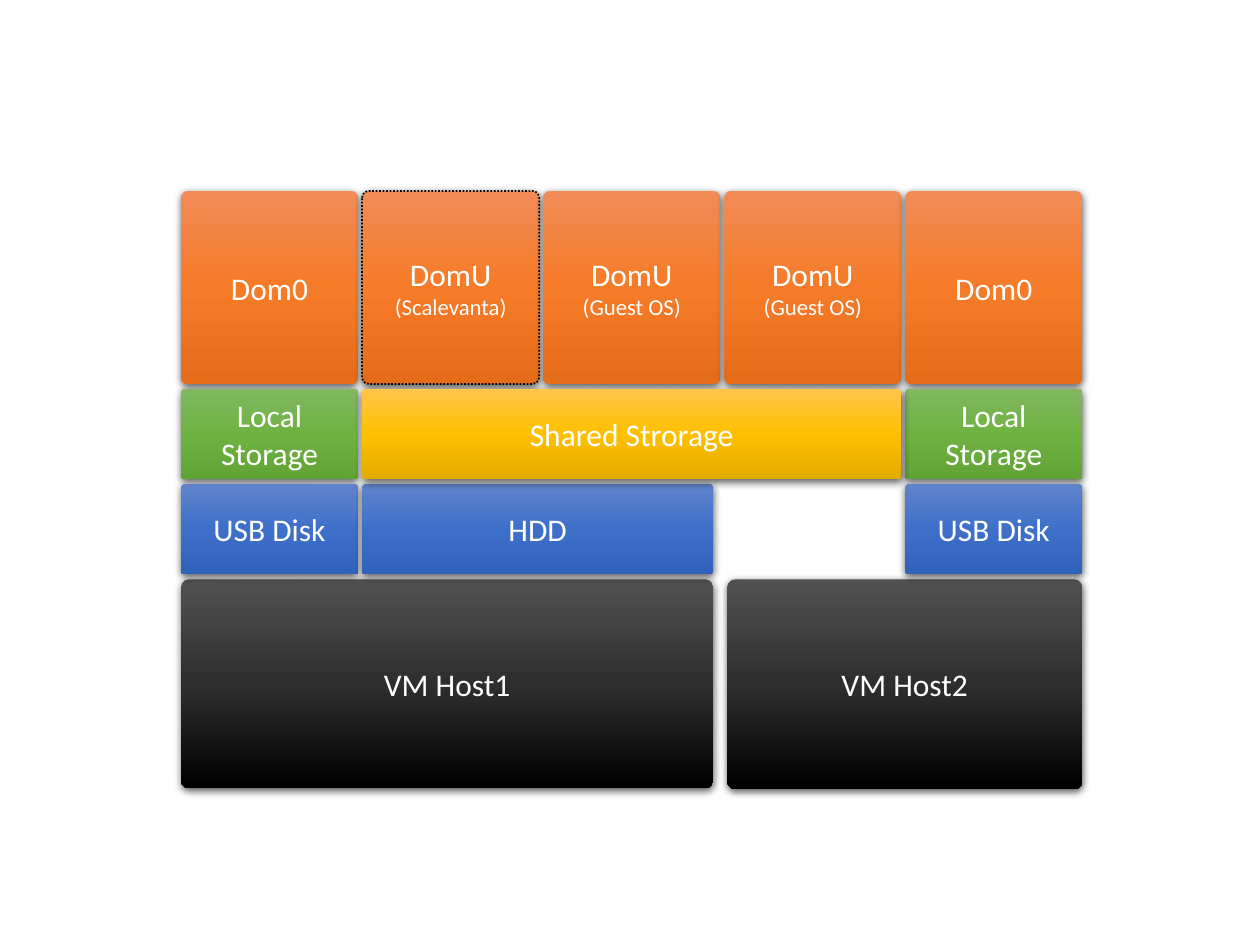
from copy import deepcopy

from lxml.etree import SubElement
from pptx import Presentation
from pptx.dml.color import RGBColor
from pptx.enum.dml import MSO_LINE
from pptx.enum.shapes import MSO_SHAPE
from pptx.enum.text import MSO_ANCHOR, PP_ALIGN
from pptx.oxml.ns import qn
from pptx.util import Cm, Pt

WHITE = RGBColor(0xFF, 0xFF, 0xFF)
BLACK = RGBColor(0x00, 0x00, 0x00)
ORANGE = (RGBColor(0xF1, 0x8C, 0x57), RGBColor(0xF6, 0x7B, 0x28), RGBColor(0xE5, 0x6C, 0x19))
GREEN = (RGBColor(0x81, 0xB8, 0x61), RGBColor(0x6F, 0xB2, 0x42), RGBColor(0x62, 0xA3, 0x36))
BLUE = (RGBColor(0x61, 0x83, 0xCB), RGBColor(0x3E, 0x70, 0xCA), RGBColor(0x30, 0x62, 0xBB))
GOLD = (RGBColor(0xFF, 0xC6, 0x4B), RGBColor(0xFF, 0xC0, 0x00), RGBColor(0xE3, 0xAB, 0x00))
DARK = (RGBColor(0x51, 0x51, 0x51), RGBColor(0x2E, 0x2E, 0x2E), BLACK)

LEFT, COLUMN_PITCH, COLUMN_WIDTH = 3.65, 3.65, 3.57
GUEST_TOP, GUEST_HEIGHT = 3.85, 3.89
STORAGE_TOP, ROW_PITCH, ROW_HEIGHT = 7.84, 1.92, 1.82
DISK_TOP = STORAGE_TOP + ROW_PITCH
HOST_TOP, HOST1_HEIGHT, HOST2_HEIGHT = DISK_TOP + ROW_PITCH, 4.21, 4.23
HOST1_RIGHT, HOST2_LEFT = 14.38, 14.66


def column_left(column):
    return LEFT + column * COLUMN_PITCH


def column_right(column):
    return column_left(column) + COLUMN_WIDTH


def write_text(frame, lines, font="Calibri", size=18, note_size=13, color=WHITE):
    frame.word_wrap = True
    frame.vertical_anchor = MSO_ANCHOR.MIDDLE
    for index, line in enumerate(lines):
        para = frame.paragraphs[0] if index == 0 else frame.add_paragraph()
        para.alignment = PP_ALIGN.CENTER
        span = para.add_run()
        span.text = line
        span.font.name = font
        span.font.size = Pt(note_size if line.startswith("(") else size)
        span.font.color.rgb = color


class StackDiagram:
    corner = 0.038

    def __init__(self, page):
        self.page = page

    def block(self, lines, left, top, right, height, colors, dotted=False):
        box = self.page.shapes.add_shape(
            MSO_SHAPE.ROUNDED_RECTANGLE, Cm(left), Cm(top), Cm(right - left), Cm(height))
        box.adjustments[0] = self.corner
        self.gradient(box, colors)
        if dotted:
            box.line.color.rgb = BLACK
            box.line.width = Pt(1)
            box.line.dash_style = MSO_LINE.ROUND_DOT
        else:
            box.line.fill.background()
        self.shadow(box)
        write_text(box.text_frame, lines)

    def gradient(self, box, colors):
        box.fill.gradient()
        box.fill.gradient_angle = 270
        stops = box.element.spPr.find(".//" + qn("a:gsLst"))
        stops.insert(1, deepcopy(stops[0]))
        for stop, color, position in zip(box.fill.gradient_stops, colors, (0, 0.5, 1)):
            stop.color.rgb = color
            stop.position = position

    def shadow(self, box):
        box.shadow.inherit = False
        effects = box.element.spPr.find(qn("a:effectLst"))
        outer = SubElement(effects, qn("a:outerShdw"), blurRad=str(Pt(4.5)),
                           dist=str(Pt(1.5)), dir="5400000", algn="ctr", rotWithShape="0")
        color = SubElement(outer, qn("a:srgbClr"), val=str(BLACK))
        SubElement(color, qn("a:alpha"), val="63000")


deck = Presentation()
deck.slide_width, deck.slide_height = Cm(25.4), Cm(19.05)
page = deck.slides.add_slide(deck.slide_layouts[6])
diagram = StackDiagram(page)

diagram.block(["VM Host2"], HOST2_LEFT, HOST_TOP, column_right(4), HOST2_HEIGHT, DARK)
diagram.block(["VM Host1"], LEFT, HOST_TOP, HOST1_RIGHT, HOST1_HEIGHT, DARK)

domains = [["Dom0"], ["DomU", "(Scalevanta)"], ["DomU", "(Guest OS)"],
           ["DomU", "(Guest OS)"], ["Dom0"]]
for column, lines in enumerate(domains):
    diagram.block(lines, column_left(column), GUEST_TOP, column_right(column),
                  GUEST_HEIGHT, ORANGE, dotted=column == 1)

for column in (0, 4):
    left, right = column_left(column), column_right(column)
    diagram.block(["Local", "Storage"], left, STORAGE_TOP, right, ROW_HEIGHT, GREEN)
    diagram.block(["USB Disk"], left, DISK_TOP, right, ROW_HEIGHT, BLUE)

diagram.block(["HDD"], column_left(1), DISK_TOP, HOST1_RIGHT, ROW_HEIGHT, BLUE)
diagram.block(["Shared Strorage"], column_left(1), STORAGE_TOP, column_right(3),
              ROW_HEIGHT, GOLD)

deck.save("out.pptx")
